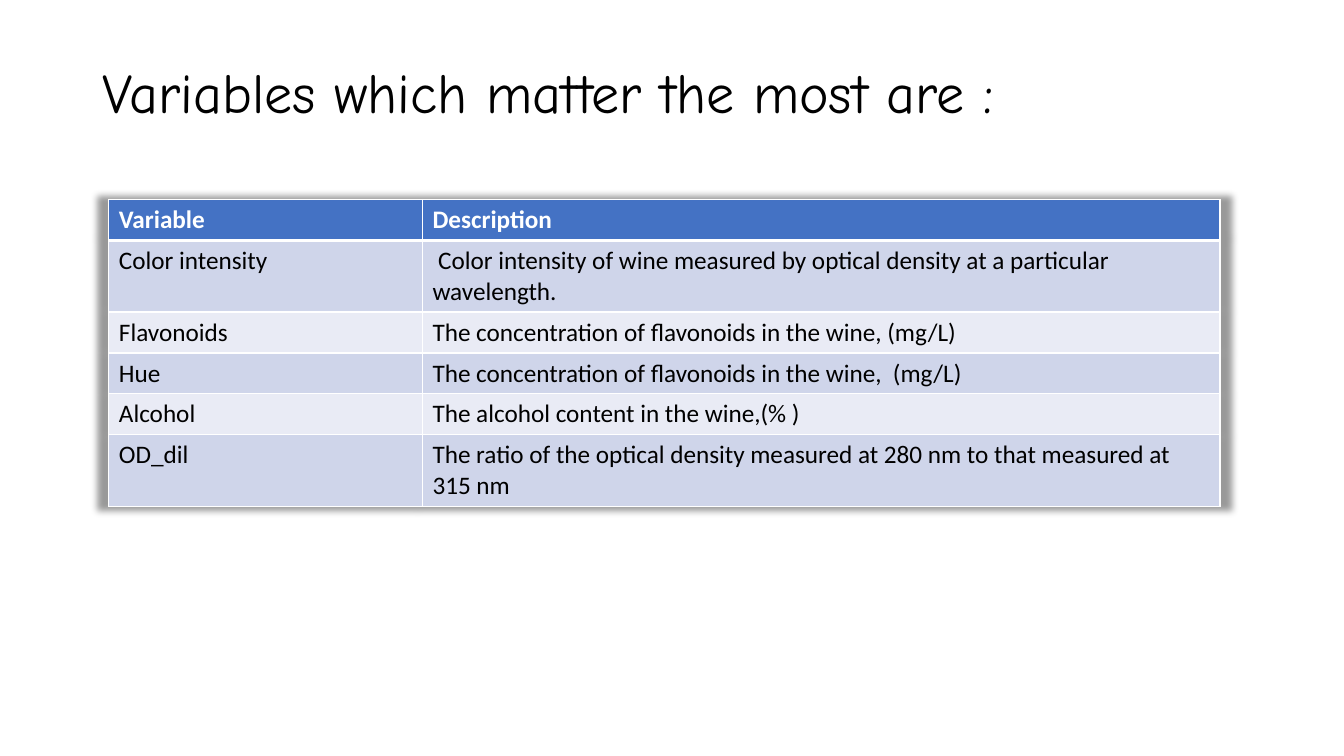
from lxml import etree
from pptx import Presentation
from pptx.dml.color import RGBColor
from pptx.enum.text import MSO_ANCHOR, PP_ALIGN
from pptx.oxml import parse_xml
from pptx.oxml.ns import nsdecls, qn
from pptx.util import Inches, Pt

COLUMN_WIDTHS = [3.11, 7.91]
ROW_HEIGHTS = [0.34, 0.6, 0.38, 0.38, 0.38, 0.67]
VARIABLES = [
    ("Variable", "Description"),
    ("Color intensity", " Color intensity of wine measured by optical density at a particular wavelength."),
    ("Flavonoids", "The concentration of flavonoids in the wine, (mg/L)"),
    ("Hue", "The concentration of flavonoids in the wine,  (mg/L)"),
    ("Alcohol", "The alcohol content in the wine,(% )"),
    ("OD_dil", "The ratio of the optical density measured at 280 nm to that measured at 315 nm"),
]


def color(value):
    return RGBColor.from_string(value)


class VariablesSlide:
    title_format = {"name": "Comic Neue", "size": Pt(40), "bold": False}
    cell_format = {"name": "Calibri", "size": Pt(18)}
    black, white = "000000", "FFFFFF"
    header_fill = "4472C4"
    band_fills = ["E9EBF5", "CFD5EA"]

    def __init__(self, presentation):
        self.slide = presentation.slides.add_slide(presentation.slide_layouts[5])

    def format_font(self, font, values, font_color):
        for name, value in values.items():
            setattr(font, name, value)
        font.color.rgb = color(font_color)

    def add_title(self, text, left, top, width, height):
        title = self.slide.shapes.title
        box = {"left": left, "top": top, "width": width, "height": height}
        for name, value in box.items():
            setattr(title, name, Inches(value))
        frame = title.text_frame
        frame.text = text
        frame.word_wrap = True
        frame.vertical_anchor = MSO_ANCHOR.MIDDLE
        paragraph = frame.paragraphs[0]
        paragraph.alignment = PP_ALIGN.LEFT
        paragraph.line_spacing = 0.9
        self.format_font(paragraph.runs[0].font, self.title_format, self.black)

    def add_table(self, rows, left, top, column_widths, row_heights):
        frame = self.slide.shapes.add_table(
            len(rows), len(column_widths), Inches(left), Inches(top),
            Inches(sum(column_widths)), Inches(sum(row_heights)))
        table = frame.table
        for column, width in zip(table.columns, column_widths):
            column.width = Inches(width)
        for row, height in zip(table.rows, row_heights):
            row.height = Inches(height)
        for row_index, texts in enumerate(rows):
            for column_index, text in enumerate(texts):
                self.fill_cell(table.cell(row_index, column_index), text, row_index)
        self.add_table_shadow(table)

    def fill_cell(self, cell, text, row_index):
        is_header = row_index == 0
        top_width = 3 if row_index == 1 else 1
        bottom_width = 3 if is_header else 1
        self.add_borders(cell, {"lnL": 1, "lnR": 1, "lnT": top_width, "lnB": bottom_width})
        cell.fill.solid()
        cell.fill.fore_color.rgb = color(self.header_fill if is_header else self.band_fills[row_index % 2])
        cell.text = text
        font = cell.text_frame.paragraphs[0].runs[0].font
        self.format_font(font, {**self.cell_format, "bold": is_header},
                         self.white if is_header else self.black)

    def add_borders(self, cell, widths):
        properties = cell._tc.get_or_add_tcPr()
        for side, width in widths.items():
            line = etree.SubElement(properties, qn(f"a:{side}"), w=str(Pt(width)))
            fill = etree.SubElement(line, qn("a:solidFill"))
            etree.SubElement(fill, qn("a:srgbClr"), val=self.white)

    def add_table_shadow(self, table):
        """Put a soft shadow, slightly larger than the table, behind it."""
        table._tbl.tblPr.insert(0, parse_xml(
            f'<a:effectLst {nsdecls("a")}>'
            '<a:outerShdw blurRad="63500" sx="102000" sy="102000" algn="ctr" rotWithShape="0">'
            f'<a:srgbClr val="{self.black}"><a:alpha val="40000"/></a:srgbClr>'
            '</a:outerShdw></a:effectLst>'))


def main():
    presentation = Presentation()
    presentation.slide_width = Inches(13.33)
    presentation.slide_height = Inches(7.5)
    slide = VariablesSlide(presentation)
    slide.add_title("Variables which matter the most are :", 0.92, 0.4, 11.5, 1.1)
    slide.add_table(VARIABLES, 1.08, 1.98, COLUMN_WIDTHS, ROW_HEIGHTS)
    presentation.save("out.pptx")


if __name__ == "__main__":
    main()
